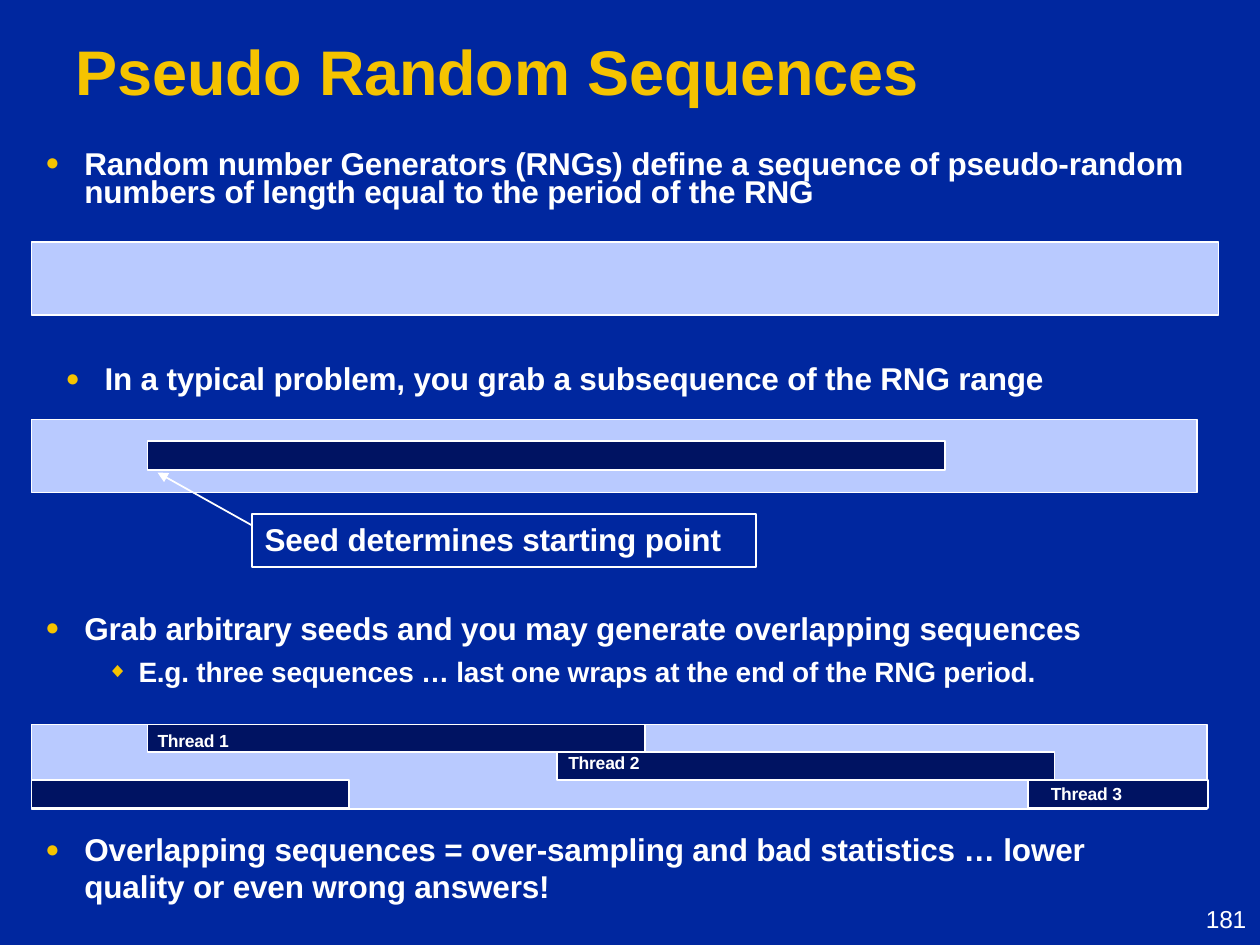
from lxml import etree
from pptx import Presentation
from pptx import util as u
from pptx.dml.color import RGBColor
from pptx.enum import shapes, text
from pptx.oxml import ns

BLUE, NAVY, PALE, WHITE, GOLD = "00279F", "001362", "B9CAFF", "FFFFFF", "F5C300"


def rgb(value):
    return RGBColor.from_string(value)


def sub(parent, tag, **attrs):
    return etree.SubElement(parent, ns.qn(tag), attrs)


class Deck:
    font = "Arial"

    def __init__(self):
        self.prs = Presentation()
        self.prs.slide_width = u.Inches(10)
        self.prs.slide_height = u.Inches(7.5)
        self.s = self.prs.slides.add_slide(self.prs.slide_layouts[6])
        fill = self.s.background.fill
        fill.solid()
        fill.fore_color.rgb = rgb(BLUE)

    def frame(self, sp, top, anchor=text.MSO_ANCHOR.TOP):
        tf = sp.text_frame
        tf.word_wrap = True
        tf.margin_left = tf.margin_right = tf.margin_bottom = 0
        tf.margin_top = u.Inches(top)
        tf.vertical_anchor = anchor
        return tf

    def put_text(self, p, words, size, left=0, hang=0, bullet=None,
                 color=WHITE, bold=True, spacing=None, before=0):
        p.alignment = text.PP_ALIGN.LEFT
        if spacing:
            p.line_spacing = spacing
        if before:
            p.space_before = u.Pt(before)
        pPr = p._p.get_or_add_pPr()
        pPr.set("marL", str(u.Inches(left)))
        pPr.set("indent", str(u.Inches(-hang)))
        if bullet:
            sub(sub(pPr, "a:buClr"), "a:srgbClr", val=GOLD)
            sub(pPr, "a:buSzPct", val="75000")
            sub(pPr, "a:buFont", typeface=self.font)
            sub(pPr, "a:buChar", char=bullet)
        p.font.name, p.font.size, p.font.bold = self.font, u.Pt(size), bold
        p.font.color.rgb = rgb(color)
        r = p.add_run()
        r.text = words
        r._r.get_or_add_rPr().set("spc", "-10")

    def box(self, x, y, w, h, top=0, anchor=text.MSO_ANCHOR.TOP):
        sp = self.s.shapes.add_textbox(*map(u.Inches, (x, y, w, h)))
        return self.frame(sp, top, anchor)

    def label(self, x, y, w, h, words, size, **style):
        tf = self.box(x, y, w, h, anchor=text.MSO_ANCHOR.MIDDLE)
        self.put_text(tf.paragraphs[0], words, size, **style)

    def point(self, x, y, w, h, words, top=0.01, spacing=None):
        tf = self.box(x, y, w, h, top)
        self.put_text(tf.paragraphs[0], words, 18, 0.33, 0.31, "●", spacing=spacing)
        return tf

    def bar(self, x, y, w, h, color, words=None, size=10, left=0, top=0):
        sp = self.s.shapes.add_shape(
            shapes.MSO_SHAPE.RECTANGLE, *map(u.Inches, (x, y, w, h)))
        sp.shadow.inherit = False
        sp.fill.solid()
        sp.fill.fore_color.rgb = rgb(color)
        sp.line.color.rgb = rgb(WHITE)
        sp.line.width = u.Pt(1)
        if words:
            self.put_text(self.frame(sp, top).paragraphs[0], words, size, left)

    def arrow(self, x1, y1, x2, y2):
        cn = self.s.shapes.add_connector(
            shapes.MSO_CONNECTOR.STRAIGHT, *map(u.Inches, (x1, y1, x2, y2)))
        cn.line.color.rgb = rgb(WHITE)
        cn.line.width = u.Pt(1)
        spPr = cn._element.spPr
        sub(spPr.get_or_add_ln(), "a:tailEnd", type="triangle")
        sub(spPr, "a:effectLst")


def main():
    d = Deck()
    d.label(0.59, 0.24, 7.5, 0.63, "Pseudo Random Sequences", 36,
            left=0.01, color=GOLD)
    d.point(0.34, 1.12, 9.16, 0.55,
            "Random number Generators (RNGs) define a sequence of "
            "pseudo-random  numbers of length equal to the period of the RNG",
            top=0.09, spacing=0.75)
    d.bar(0.25, 1.92, 9.42, 0.58, PALE)

    d.point(0.5, 2.84, 7.88, 0.33,
            "In a typical problem, you grab a subsequence of the RNG range")
    d.bar(0.25, 3.33, 9.25, 0.58, PALE)
    d.bar(1.17, 3.5, 6.33, 0.23, NAVY)
    d.bar(2, 4.08, 4, 0.42, BLUE, "Seed determines starting point", 18, 0.1, 0.05)
    d.arrow(2, 4.17, 1.25, 3.75)

    tf = d.point(0.34, 4.74, 8.34, 0.73,
                 "Grab arbitrary seeds and you may generate overlapping sequences",
                 top=0.09)
    d.put_text(tf.add_paragraph(),
               "E.g. three sequences … last one wraps at the end of the RNG period.",
               16, 0.76, 0.25, "◆", before=4.5)

    band_top, row = 5.75, 0.22
    d.bar(0.25, band_top, 9.33, 0.67, PALE)
    threads = [
        (0, 1.17, 3.95, "Thread 1", 0.08, 0.04),
        (1, 4.42, 3.95, "Thread 2", 0.09, 0),
        (2, 0.25, 2.52, None, 0, 0),
        (2, 8.16, 1.43, "Thread 3", 0.18, 0.02),
    ]
    for i, x, w, name, left, top in threads:
        d.bar(x, band_top + i * row, w, row, NAVY, name, left=left, top=top)

    leading = u.Pt(20.9)
    tf = d.point(0.34, 6.59, 8.38, 0.61,
                 "Overlapping sequences = over-sampling and bad statistics … lower",
                 spacing=leading)
    d.put_text(tf.add_paragraph(), "quality or even wrong answers!", 18, 0.33,
               spacing=leading)
    d.label(9.53, 7.17, 0.41, 0.25, "181", 14, left=0.04, bold=False)
    d.prs.save("out.pptx")


if __name__ == "__main__":
    main()
